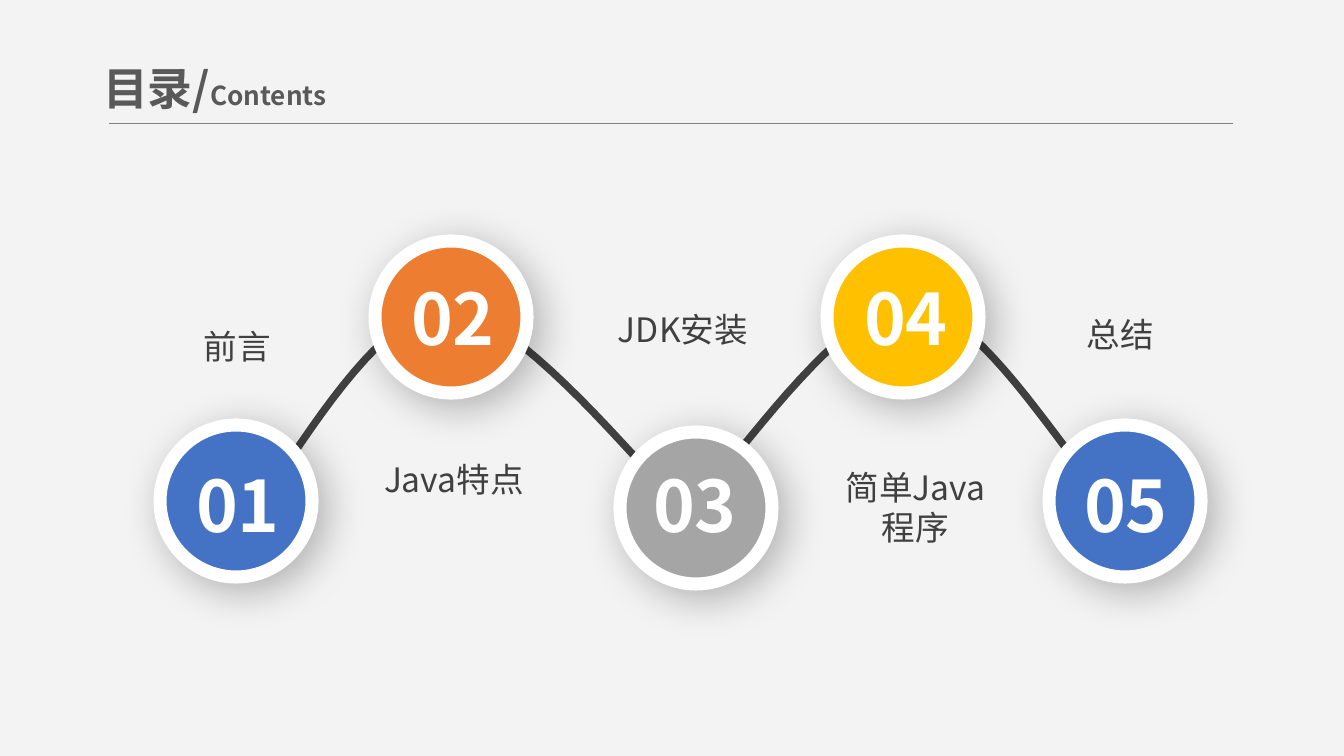
from lxml.etree import SubElement
from pptx import Presentation
from pptx.dml.color import RGBColor
from pptx.enum.shapes import MSO_CONNECTOR, MSO_SHAPE
from pptx.enum.text import MSO_ANCHOR, MSO_AUTO_SIZE, PP_ALIGN
from pptx.oxml.ns import qn
from pptx.util import Pt

SCALE = 914400 / 134.4
FONT = "Noto Sans CJK SC"


def px(length):
    return round(length * SCALE)


def color(value):
    return RGBColor.from_string(value)


def assign(target, values):
    for name, value in values.items():
        setattr(target, name, value)


def bezier(start, controls, steps=20):
    corners = (start, *controls)
    for step in range(1, steps + 1):
        t = step / steps
        weights = ((1 - t) ** 3, 3 * t * (1 - t) ** 2, 3 * t * t * (1 - t), t ** 3)
        yield tuple(px(sum(w * c[axis] for w, c in zip(weights, corners))) for axis in (0, 1))


class ContentsSlide:
    dark = "404040"
    centred = {"margin_left": px(9), "margin_right": px(9),
               "margin_top": px(5), "margin_bottom": px(5),
               "auto_size": MSO_AUTO_SIZE.SHAPE_TO_FIT_TEXT}
    shadow = {"blurRad": Pt(22), "dist": Pt(6), "dir": 45 * 60000,
              "algn": "tl", "rotWithShape": 0}

    def __init__(self, slide, background):
        self.slide = slide
        slide.background.fill.solid()
        slide.background.fill.fore_color.rgb = color(background)

    def stroke(self, line, tint, width):
        line.color.rgb = color(tint)
        line.width = Pt(width)

    def text(self, box, runs, tint, bold=False, align=PP_ALIGN.CENTER, frame=centred, parent=None):
        area = (parent or self.slide).shapes.add_textbox(*map(px, box)).text_frame
        area.word_wrap = True
        assign(area, frame)
        paragraph = area.paragraphs[0]
        paragraph.alignment = align
        for wording, size in runs:
            run = paragraph.add_run()
            run.text = wording
            assign(run.font, {"name": FONT, "size": Pt(size), "bold": bold})
            run.font.color.rgb = color(tint)
            SubElement(run.font._element, qn("a:ea"), typeface=FONT)

    def rule(self, left, right, y, tint, width):
        rule = self.slide.shapes.add_connector(
            MSO_CONNECTOR.STRAIGHT, px(left), px(y), px(right), px(y))
        self.stroke(rule.line, tint, width)
        SubElement(rule._element.spPr, qn("a:effectLst"))

    def trail(self, start, curves, width):
        builder = self.slide.shapes.build_freeform(px(start[0]), px(start[1]))
        for controls in curves:
            builder.add_line_segments(list(bezier(start, controls)), close=False)
            start = controls[-1]
        trail = builder.convert_to_shape()
        trail.fill.background()
        trail.shadow.inherit = False
        self.stroke(trail.line, self.dark, width)

    def stop(self, number, fill, corner, number_corner):
        group = self.slide.shapes.add_group_shape()
        disc = group.shapes.add_shape(MSO_SHAPE.OVAL, *map(px, (*corner, 152, 152)))
        disc.fill.solid()
        disc.fill.fore_color.rgb = color(fill)
        self.stroke(disc.line, "FFFFFF", 7)
        disc.shadow.inherit = False
        effects = disc._element.spPr.find(qn("a:effectLst"))
        outer = SubElement(effects, qn("a:outerShdw"),
                           {name: str(value) for name, value in self.shadow.items()})
        black = SubElement(outer, qn("a:srgbClr"), val="000000")
        SubElement(black, qn("a:alpha"), val="28000")
        self.text((*number_corner, 116, 97), [(number, 38)], "FFFFFF", bold=True, parent=group)


def main():
    deck = Presentation()
    deck.slide_width, deck.slide_height = px(1344), px(756)
    contents = ContentsSlide(deck.slides.add_slide(deck.slide_layouts[6]), "F3F3F3")

    contents.text((90, 51, 332, 73), [("目录/", 24), ("Contents", 14)], "595959", bold=True,
                  align=PP_ALIGN.LEFT, frame={"vertical_anchor": MSO_ANCHOR.MIDDLE})
    contents.rule(109, 1233, 124, "808080", 0.5)
    contents.trail((250, 515), [
        ((282, 481), (372, 309), (446, 309)),
        ((519, 309), (650, 481), (691, 515)),
        ((732, 548), (655, 544), (691, 508)),
        ((727, 473), (839, 306), (907, 304)),
        ((976, 302), (1062, 454), (1103, 493)),
    ], 4)

    chapters = [
        ("前言", (138, 321, 199, 51)),
        ("Java特点", (366, 454, 176, 51)),
        ("JDK安装", (591, 304, 184, 51)),
        ("简单Java程序", (836, 462, 159, 91)),
        ("总结", (1021, 309, 199, 51)),
    ]
    for chapter, box in chapters:
        contents.text(box, [(chapter, 18)], contents.dark)

    stops = [
        ("02", "ED7D31", (375, 241), (395, 270)),
        ("03", "A5A5A5", (620, 432), (637, 457)),
        ("04", "FFC000", (827, 241), (848, 270)),
        ("05", "4472C4", (1049, 425), (1068, 457)),
        ("01", "4472C4", (160, 425), (180, 457)),
    ]
    for stop in stops:
        contents.stop(*stop)

    deck.save("out.pptx")


if __name__ == "__main__":
    main()
